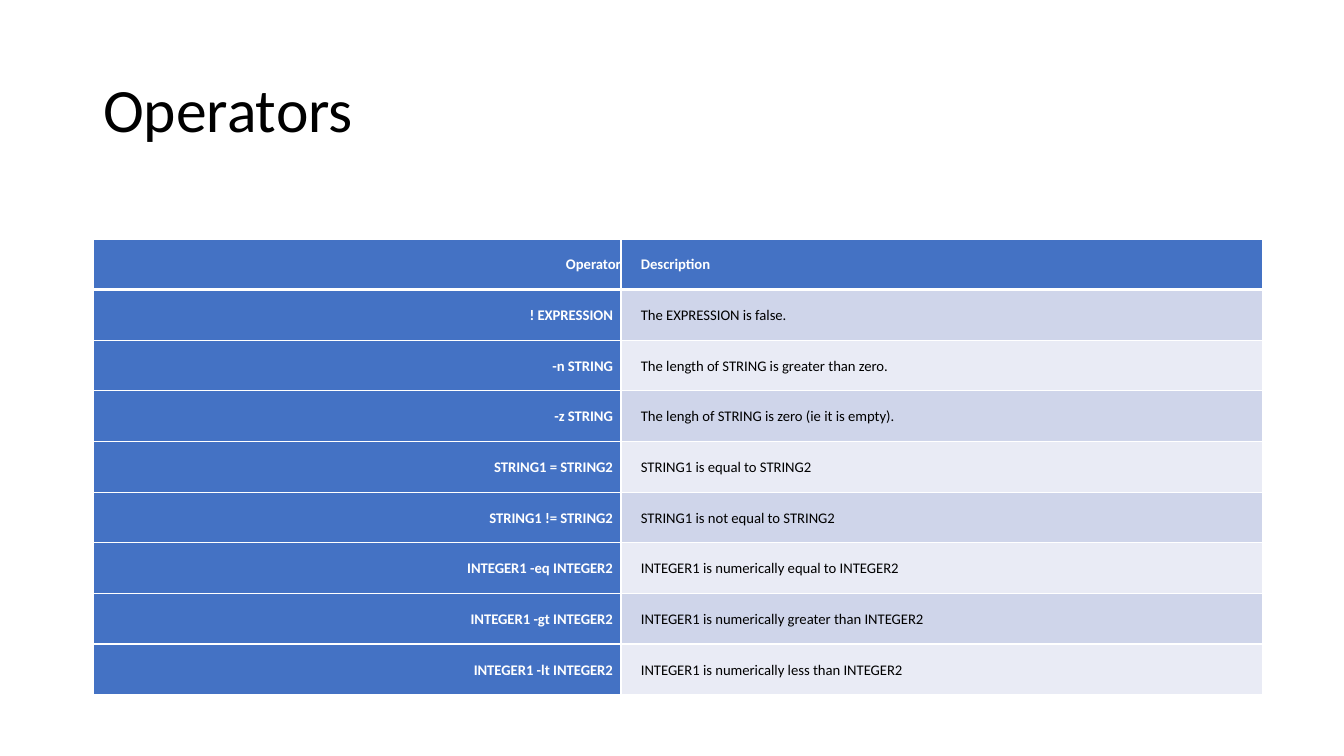
from lxml.etree import SubElement
from pptx import Presentation
from pptx.dml.color import RGBColor
from pptx.enum.text import MSO_ANCHOR as Anchor, MSO_AUTO_SIZE as AutoSize, PP_ALIGN as Align
from pptx.oxml.ns import qn
from pptx.util import Pt

EMU_PER_INCH, PX_PER_INCH = 914400, 100.8
FONT = "Calibri"
COLORS = {
    "header": "4472C4",
    "odd_row": "CFD5EA",
    "even_row": "E9EBF5",
    "white": "FFFFFF",
    "black": "000000",
}
SLIDE_SIZE = (1344, 756)
TITLE_BOX = (93, 40, 1159, 146)
TABLE_BOX = (93, 239, 1170, 456)
OPERATOR_WIDTH = 528

ROWS = [
    ("Operator", "Description"),
    ("! EXPRESSION", "The EXPRESSION is false."),
    ("-n STRING", "The length of STRING is greater than zero."),
    ("-z STRING", "The lengh of STRING is zero (ie it is empty)."),
    ("STRING1 = STRING2", "STRING1 is equal to STRING2"),
    ("STRING1 != STRING2", "STRING1 is not equal to STRING2"),
    ("INTEGER1 -eq INTEGER2", "INTEGER1 is numerically equal to INTEGER2"),
    ("INTEGER1 -gt INTEGER2", "INTEGER1 is numerically greater than INTEGER2"),
    ("INTEGER1 -lt INTEGER2", "INTEGER1 is numerically less than INTEGER2"),
]


def px(length):
    return round(length * EMU_PER_INCH / PX_PER_INCH)


def color(name):
    return RGBColor.from_string(COLORS[name])


def set_attributes(target, values):
    for name, value in values.items():
        setattr(target, name, value)


def write_text(frame, text, size, color_name, align, spacing, bold=False):
    para = frame.paragraphs[0]
    set_attributes(para, {"alignment": align, "line_spacing": spacing})
    span = para.add_run()
    span.text = text
    set_attributes(span.font, {"name": FONT, "size": Pt(size), "bold": bold})
    span.font.color.rgb = color(color_name)


def set_borders(cell, widths):
    properties = cell._tc.get_or_add_tcPr()
    for side, width in widths.items():
        line = SubElement(properties, qn(f"a:ln{side}"), w=str(Pt(width)))
        fill = SubElement(line, qn("a:solidFill"))
        SubElement(fill, qn("a:srgbClr"), val=COLORS["white"])


# Title
def add_title(page, box, text):
    title = page.shapes.title
    places = map(px, box)
    set_attributes(title, dict(zip(("left", "top", "width", "height"), places)))
    frame = title.text_frame
    set_attributes(frame, {
        "word_wrap": True,
        "auto_size": AutoSize.NONE,
        "vertical_anchor": Anchor.MIDDLE,
    })
    write_text(frame, text, 44, "black", Align.LEFT, 0.9)


# One table cell: operators and the header row are bold white on blue
def format_cell(cell, text, row, column):
    is_header, is_operator = row == 0, column == 0
    strong = is_header or is_operator
    left, right = (42, 0 if is_header else 8) if is_operator else (20, 42)
    set_attributes(cell, {
        "margin_left": px(left),
        "margin_right": px(right),
        "margin_top": px(5),
        "margin_bottom": px(5),
        "vertical_anchor": Anchor.MIDDLE,
    })
    set_borders(cell, {"L": 1, "R": 1, "T": 3 if row == 1 else 1, "B": 3 if is_header else 1})
    band = "odd_row" if row % 2 else "even_row"
    cell.fill.solid()
    cell.fill.fore_color.rgb = color("header" if strong else band)
    write_text(cell.text_frame, text, 10.5, "white" if strong else "black",
               Align.RIGHT if is_operator else Align.LEFT, 1.07, strong)


# Operator table
def add_operator_table(page, box, rows):
    width, height = box[2:]
    table = page.shapes.add_table(len(rows), 2, *map(px, box)).table
    set_attributes(table, {"first_row": False, "horz_banding": False})
    for column, column_width in zip(table.columns, (OPERATOR_WIDTH, width - OPERATOR_WIDTH)):
        column.width = px(column_width)
    for row_index, texts in enumerate(rows):
        table.rows[row_index].height = px(height / len(rows))
        for column_index, text in enumerate(texts):
            format_cell(table.cell(row_index, column_index), text, row_index, column_index)


def main():
    deck = Presentation()
    deck.slide_width, deck.slide_height = map(px, SLIDE_SIZE)
    page = deck.slides.add_slide(deck.slide_layouts.get_by_name("Title Only"))
    add_title(page, TITLE_BOX, "Operators")
    add_operator_table(page, TABLE_BOX, ROWS)
    deck.save("out.pptx")


if __name__ == "__main__":
    main()
